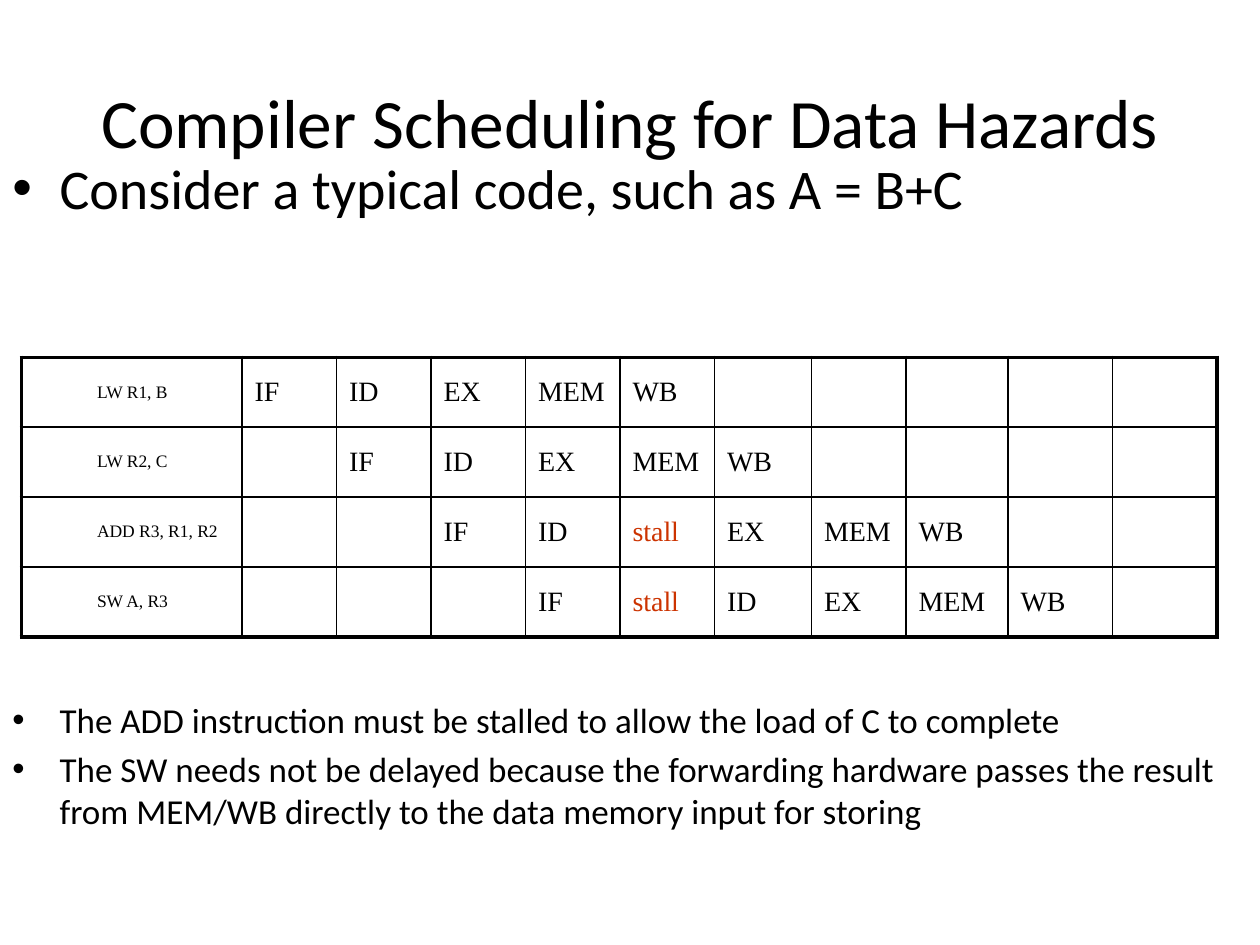
import pptx
import pptx.util
import pptx.dml.color
import pptx.enum.text
import pptx.oxml
import pptx.oxml.ns
from lxml import etree

COLORS = {"ink": "000000", "stall": "CC3300"}
BODY, TABLE = "Calibri", "Times New Roman"
Pt, Inches = pptx.util.Pt, pptx.util.Inches
qn = pptx.oxml.ns.qn


class Deck:
    def __init__(self, width, height):
        self.prs = pptx.Presentation()
        self.prs.slide_width, self.prs.slide_height = Inches(width), Inches(height)
        self.s = self.prs.slides.add_slide(self.prs.slide_layouts[5])

    def box(self, x, y, w, h):
        """Turn shares of the slide's size into lengths."""
        W, H = self.prs.slide_width, self.prs.slide_height
        return int(x * W), int(y * H), int(w * W), int(h * H)

    def run(self, p, text, size, font, color="ink"):
        r = p.add_run()
        r.text = text
        r.font.size, r.font.name = Pt(size), font
        r.font.color.rgb = pptx.dml.color.RGBColor.from_string(COLORS[color])

    def title(self, text, size, *area):
        sp = self.s.shapes.title
        sp.left, sp.top, sp.width, sp.height = self.box(*area)
        tf = sp.text_frame
        tf.auto_size = pptx.enum.text.MSO_AUTO_SIZE.NONE
        tf.vertical_anchor = pptx.enum.text.MSO_ANCHOR.MIDDLE
        p = tf.paragraphs[0]
        p.alignment = pptx.enum.text.PP_ALIGN.CENTER
        self.run(p, text, size, BODY)

    def bullets(self, lines, size, *area):
        tf = self.s.shapes.add_textbox(*self.box(*area)).text_frame
        tf.word_wrap = True
        for i, line in enumerate(lines):
            p = tf.add_paragraph() if i else tf.paragraphs[0]
            pPr = p._p.get_or_add_pPr()
            pPr.set("marL", str(Inches(0.375)))
            pPr.set("indent", str(-Inches(0.375)))
            etree.SubElement(pPr, qn("a:buFont")).set("typeface", "Arial")
            etree.SubElement(pPr, qn("a:buChar")).set("char", "•")
            if i:
                p.space_before = Pt(0.2 * size)
            self.run(p, line, size, BODY)

    def borders(self, cell, outer):
        """Draw the four sides, thicker on the sides named in outer."""
        tcPr = cell._tc.get_or_add_tcPr()
        for side in "LRTB":
            ln = etree.SubElement(tcPr, qn(f"a:ln{side}"))
            ln.set("w", str(Pt(2.25 if side in outer else 1)))
            fill = etree.SubElement(ln, qn("a:solidFill"))
            etree.SubElement(fill, qn("a:srgbClr")).set("val", COLORS["ink"])

    def pipeline(self, rows, widths, *area):
        """Each row holds an instruction, its first cycle and its stages."""
        n, m = len(rows), len(widths)
        table = self.s.shapes.add_table(n, m, *self.box(*area)).table
        table.first_row = table.horz_banding = False
        for col, width in zip(table.columns, widths):
            col.width = Inches(width)
        for i, (code, start, stages) in enumerate(rows):
            texts = [code] + [""] * (start - 1) + stages.split()
            texts += [""] * (m - len(texts))
            for j, text in enumerate(texts):
                cell = table.cell(i, j)
                cell.vertical_anchor = pptx.enum.text.MSO_ANCHOR.MIDDLE
                edges = {"L": j == 0, "R": j == m - 1, "T": i == 0, "B": i == n - 1}
                self.borders(cell, [side for side, on in edges.items() if on])
                cell.fill.background()
                p = cell.text_frame.paragraphs[0]
                if j == 0:
                    p.level = 1
                    p._p.get_or_add_pPr().set("marL", str(Inches(0.5)))
                if text:
                    self.run(p, text, 16 if j else 10, TABLE,
                             "stall" if text == "stall" else "ink")


def main():
    deck = Deck(10, 7.5)

    # Heading and opening point
    deck.title("Compiler Scheduling for Data Hazards", 39.6, 0.05, 0.044, 0.9, 0.167)
    deck.bullets(["Consider a typical code, such as A = B+C"], 32, 0, 0.156, 1, 0.09)

    # Pipeline chart, one column per clock cycle
    deck.pipeline([
        ("LW R1, B", 1, "IF ID EX MEM WB"),
        ("LW R2, C", 2, "IF ID EX MEM WB"),
        ("ADD R3, R1, R2", 3, "IF ID stall EX MEM WB"),
        ("SW A, R3", 4, "IF stall ID EX MEM WB"),
    ], [1.75] + [0.75] * 5 + [0.77, 0.75, 0.81, 0.83, 0.83], 0.017, 0.378, 0.95, 0.296)

    # Conclusions
    deck.bullets([
        "The ADD instruction must be stalled to allow the load of C to complete",
        "The SW needs not be delayed because the forwarding hardware passes the "
        "result from MEM/WB directly to the data memory input for storing",
    ], 20, 0, 0.733, 1, 0.09)

    deck.prs.save("out.pptx")


if __name__ == "__main__":
    main()
